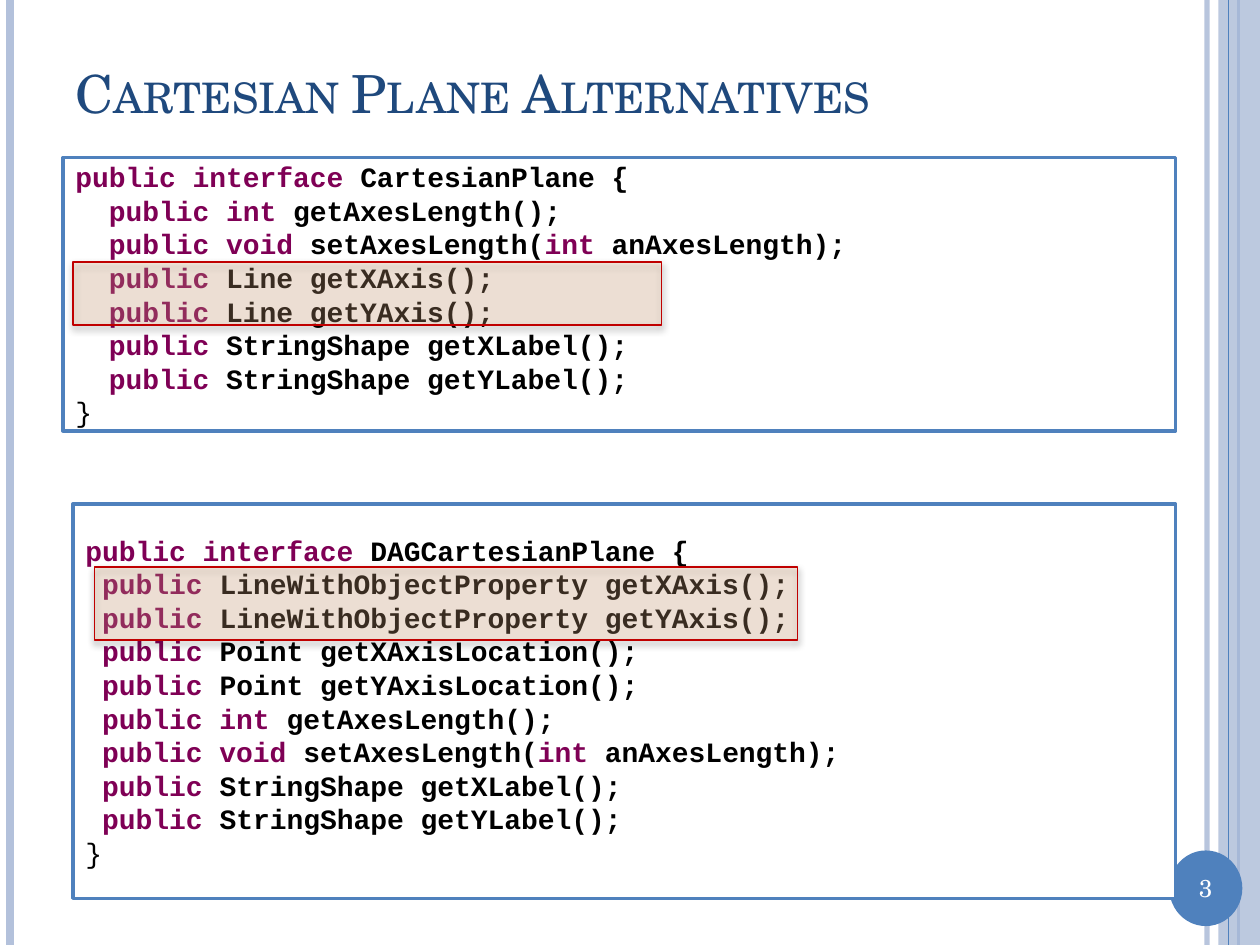
import pptx
import pptx.util
import pptx.dml.color
import pptx.enum.shapes
import pptx.enum.text
import pptx.oxml
import pptx.oxml.ns
from pptx.util import Inches

SERIF, MONO = "TeX Gyre Schola", "Courier New"
COLORS = dict(blue="4F81BD", pale="B3C1DB", navy="1F497D", white="FFFFFF",
              black="000000", keyword="7F0055", peach="FAC090", red="C00000")
SHAPES = pptx.enum.shapes.MSO_SHAPE
ALIGN = pptx.enum.text.PP_ALIGN

# In each code line, "|" switches between keyword and plain text.
CODE_BOXES = [
    ((0.5, 1.25, 8.83, 2.17), [
        "public interface |CartesianPlane {",
        "  public int |getAxesLength();",
        "  public void |setAxesLength(|int |anAxesLength);",
        "  public |Line getXAxis();",
        "  public |Line getYAxis();",
        "  public |StringShape getXLabel();",
        "  public |StringShape getYLabel();",
        "|}",
    ]),
    ((0.58, 4, 8.75, 3.13), [
        "public interface |DAGCartesianPlane {",
        " public |LineWithObjectProperty getXAxis();",
        " public |LineWithObjectProperty getYAxis();",
        " public |Point getXAxisLocation();",
        " public |Point getYAxisLocation();",
        " public int |getAxesLength();",
        " public void |setAxesLength(|int |anAxesLength);",
        " public |StringShape getXLabel();",
        " public |StringShape getYLabel();",
        "|}",
    ]),
]
HIGHLIGHTS = [(0.75, 4.5, 5.58, 0.58), (0.58, 2.08, 4.67, 0.5)]
# x, colour, width in points, opacity in percent
RULES_BEHIND = [(9.58, "pale", 3, 93), (0.08, "pale", 4.5, 100), (9.83, "blue", 1.5, 100)]
RULE_FRONT = (9.75, "blue", 0.75, 100)


def rgb(name):
    return pptx.dml.color.RGBColor.from_string(COLORS[name])


def set_alpha(sp, kind, percent):
    """Set the opacity of the shape's fill ("p:spPr") or line ("a:ln")."""
    clr = sp._element.find(f".//{pptx.oxml.ns.qn(kind)}/"
                           + "/".join(map(pptx.oxml.ns.qn, ("a:solidFill", "a:srgbClr"))))
    alpha = pptx.oxml.parse_xml(f'<a:alpha {pptx.oxml.ns.nsdecls("a")} val="{percent * 1000}"/>')
    clr.append(alpha)


def add_effects(sp, inner=""):
    sp._element.spPr.append(pptx.oxml.parse_xml(
        f'<a:effectLst {pptx.oxml.ns.nsdecls("a")}>{inner}</a:effectLst>'))


def add_rule(s, x, color, width, opacity):
    line = s.shapes.add_connector(pptx.enum.shapes.MSO_CONNECTOR.STRAIGHT,
                                  Inches(x), 0, Inches(x), Inches(7.5))
    line.line.color.rgb = rgb(color)
    line.line.width = pptx.util.Pt(width)
    if opacity < 100:
        set_alpha(line, "a:ln", opacity)
    add_effects(line)


def add_box(s, box, fill, line=None, width=1, kind=SHAPES.RECTANGLE, opacity=100):
    sp = s.shapes.add_shape(kind, *map(Inches, box))
    sp.fill.solid()
    sp.fill.fore_color.rgb = rgb(fill)
    if opacity < 100:
        set_alpha(sp, "p:spPr", opacity)
    if line:
        sp.line.color.rgb = rgb(line)
        sp.line.width = pptx.util.Pt(width)
    else:
        sp.line.fill.background()
    sp.shadow.inherit = False
    return sp


def add_text(p, text, size, color, font=SERIF, bold=False, align=ALIGN.LEFT, small_caps=False):
    p.alignment = align
    r = p.add_run()
    r.text = text
    r.font.size = pptx.util.Pt(size)
    r.font.name = font
    r.font.bold = bold
    r.font.color.rgb = rgb(color)
    if small_caps:
        r.font._element.set("cap", "small")


def add_code(s, box, lines):
    tf = add_box(s, box, "white", "blue", 2).text_frame
    tf.word_wrap = True
    tf.vertical_anchor = pptx.enum.text.MSO_ANCHOR.MIDDLE
    for i, line in enumerate(lines):
        p = tf.add_paragraph() if i else tf.paragraphs[0]
        for j, part in enumerate(line.split("|")):
            if part:
                add_text(p, part, 16, "black" if j % 2 else "keyword",
                         font=MONO, bold=part != "}")


def add_highlight(s, box):
    sp = add_box(s, box, "peach", "red", 1, opacity=23)
    sp.shadow.inherit = True
    add_effects(sp, '<a:outerShdw blurRad="50800" dist="25400" dir="5400000" rotWithShape="0">'
                    '<a:srgbClr val="000000"><a:alpha val="40000"/></a:srgbClr></a:outerShdw>')


def main():
    prs = pptx.Presentation()
    prs.slide_width, prs.slide_height = Inches(10), Inches(7.5)
    s = prs.slides.add_slide(prs.slide_layouts[5])

    for rule in RULES_BEHIND:
        add_rule(s, *rule)
    add_box(s, (9.67, 0, 0.33, 7.5), "pale", opacity=87)
    add_rule(s, *RULE_FRONT)
    add_box(s, (9.28, 6.75, 0.58, 0.6), "blue", kind=SHAPES.OVAL)
    number = s.shapes.add_textbox(*map(Inches, (9.28, 6.88, 0.58, 0.34))).text_frame
    number.word_wrap = True
    add_text(number.paragraphs[0], "3", 14, "white", align=ALIGN.CENTER)

    title = s.shapes.title
    title.left, title.top, title.width, title.height = map(Inches, (0.5, 0.3, 8.67, 0.87))
    title.text_frame.vertical_anchor = pptx.enum.text.MSO_ANCHOR.MIDDLE
    add_text(title.text_frame.paragraphs[0], "Cartesian Plane Alternatives", 30, "navy",
             small_caps=True)

    for box, lines in CODE_BOXES:
        add_code(s, box, lines)
    for box in HIGHLIGHTS:
        add_highlight(s, box)
    prs.save("out.pptx")


if __name__ == "__main__":
    main()
